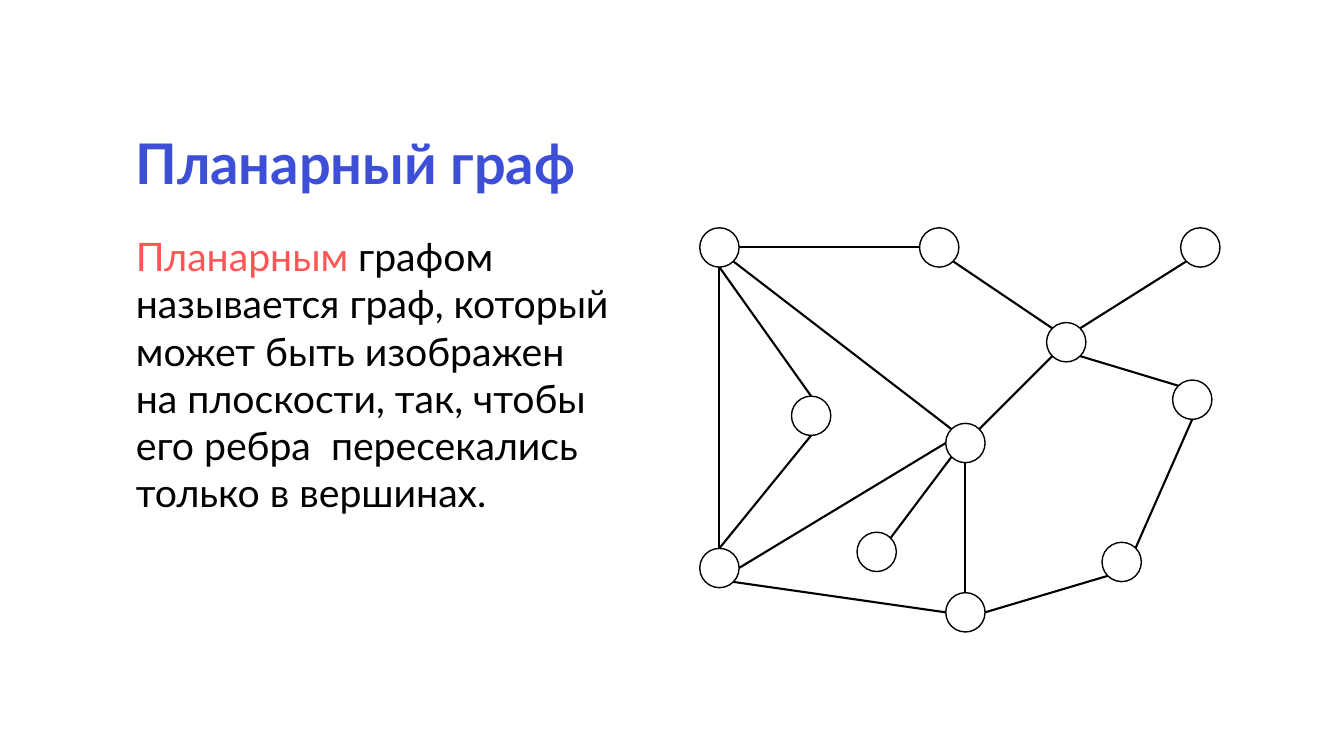
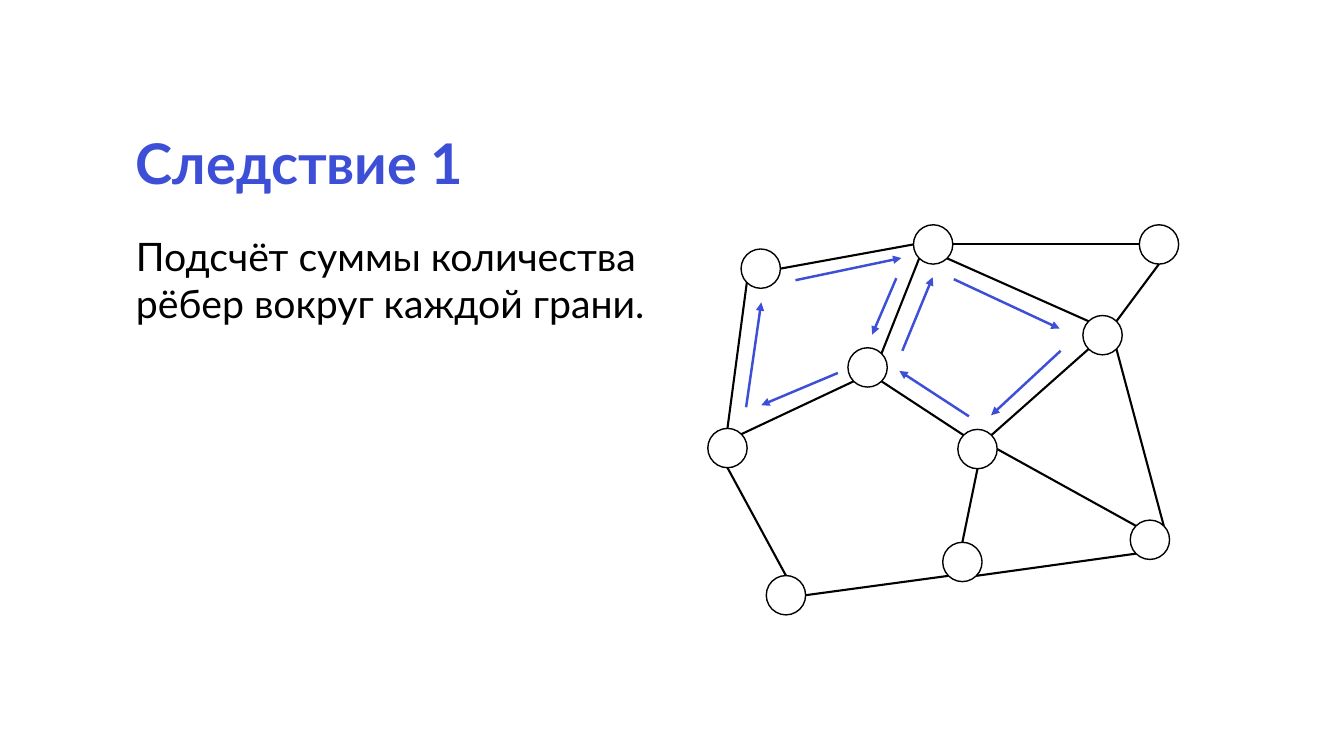
from dataclasses import dataclass
from math import cos, radians, sin

from lxml.etree import SubElement
from pptx import Presentation
from pptx.dml.color import RGBColor as RGB
from pptx.enum.shapes import MSO_CONNECTOR as LINE, MSO_SHAPE as SHAPE
from pptx.enum.text import MSO_ANCHOR as ANCHOR
from pptx.oxml.ns import qn
from pptx.util import Inches, Pt


@dataclass(frozen=True)
class Theme:
    font: str = "Lato"
    blue: RGB = RGB(0x3D, 0x4E, 0xD7)
    red: RGB = RGB(0xFF, 0x55, 0x55)
    black: RGB = RGB(0, 0, 0)
    white: RGB = RGB(255, 255, 255)
    title: int = 40
    body: int = 28
    rim: float = 1
    edge: float = 1.5
    arrow: float = 1.75


THEME = Theme()
LEFT, WIDTH = 1.25, 5.42
NODE = 0.39
# Connection sites of an ellipse, counterclockwise from the top.
SITES = ("N", "NW", "W", "SW", "S", "SE", "E", "NE")

PLANAR_NODES = {
    "a": (6.94, 2.26), "b": (9.12, 2.26), "c": (11.71, 2.26),
    "d": (10.38, 3.2), "e": (11.63, 3.77), "f": (7.85, 3.93),
    "g": (9.38, 4.2), "h": (8.5, 5.28), "i": (6.94, 5.44),
    "j": (9.38, 5.88), "k": (10.93, 5.38),
}
PLANAR_EDGES = (
    "a E b W", "a S f N", "a SE g NW", "i N a S", "d SW g NE",
    "c SW d NE", "e NW d SE", "b SE d NW", "f S i N", "e S k NE",
    "i SE j W", "h NE g SW", "g W i E", "j N g S", "k SW j E",
)
FACE_NODES = {
    "a": (7.35, 2.47), "b": (9.06, 2.23), "c": (11.3, 2.23),
    "d": (10.74, 3.13), "e": (8.41, 3.45), "f": (7.02, 4.25),
    "g": (9.5, 4.26), "h": (9.35, 5.38), "i": (11.21, 5.16),
    "j": (7.6, 5.71),
}
FACE_EDGES = (
    "a E b W", "b SW e NE", "i NE d SE", "h SW j E", "c W b E",
    "g NE d SW", "b SE d NW", "f S j N", "c S d NE", "e SW f NE",
    "g NW e SE", "i NW g E", "i SW h SE", "h N g S", "f N a SW",
)
FACE_ARROWS = (
    ((7.4, 4.04), (7.55, 3)), ((7.89, 2.78), (8.94, 2.56)),
    ((8.89, 2.76), (8.65, 3.32)), ((8.31, 3.7), (7.55, 4.02)),
    ((9.46, 2.77), (10.51, 3.26)), ((10.52, 3.48), (9.83, 4.12)),
    ((8.95, 3.48), (9.25, 2.75)), ((9.61, 4.13), (8.92, 3.68)),
)


def add_text(slide, text, top, height, size, color, bold=False):
    box = slide.shapes.add_textbox(
        Inches(LEFT), Inches(top), Inches(WIDTH), Inches(height))
    frame = box.text_frame
    frame.word_wrap = True
    frame.text = text
    for par in frame.paragraphs:
        for run in par.runs:
            style(run, size, color, bold)
    return frame


def style(run, size, color, bold=False):
    font = run.font
    font.name, font.size, font.bold = THEME.font, Pt(size), bold
    font.color.rgb = color


def add_title(slide, text):
    frame = add_text(slide, text, 1.25, 0.8, THEME.title, THEME.blue, True)
    frame.vertical_anchor = ANCHOR.MIDDLE
    frame.paragraphs[0].line_spacing = 0.9


def add_body(slide, text, height, term=""):
    """Add the body text; a term that opens it is set in red."""
    frame = add_text(slide, text, 2.26, height, THEME.body, THEME.black)
    if term:
        par = frame.paragraphs[0]
        head, tail = par.runs[0], par.add_run()
        tail.text = head.text.removeprefix(term)
        head.text = term
        style(head, THEME.body, THEME.red)
        style(tail, THEME.body, THEME.black)


def add_node(slide, left, top):
    node = slide.shapes.add_shape(
        SHAPE.OVAL, Inches(left), Inches(top), Inches(NODE), Inches(NODE))
    node.shadow.inherit = False
    node.fill.solid()
    node.fill.fore_color.rgb = THEME.white
    node.line.color.rgb = THEME.black
    node.line.width = Pt(THEME.rim)
    return node


def add_line(slide, start, end, color, width):
    ends = [Inches(value) for value in (*start, *end)]
    line = slide.shapes.add_connector(LINE.STRAIGHT, *ends)
    line.line.color.rgb = color
    line.line.width = Pt(width)
    SubElement(line._element.spPr, qn("a:effectLst"))
    return line


def add_arrow(slide, start, end):
    line = add_line(slide, start, end, THEME.blue, THEME.arrow)
    SubElement(line.line._get_or_add_ln(), qn("a:tailEnd"), type="triangle")


def find_site(corner, site):
    """Return the point of a node's rim that faces the compass site."""
    angle = radians(90 + 45 * SITES.index(site))
    half = NODE / 2
    left, top = corner
    return left + half + half * cos(angle), top + half - half * sin(angle)


def add_graph(slide, nodes, edges):
    """Draw nodes and glue each edge, given as 'node site node site'."""
    ovals = {key: add_node(slide, *corner) for key, corner in nodes.items()}
    for edge in edges:
        key, site, goal, port = edge.split()
        line = add_line(slide, find_site(nodes[key], site),
                        find_site(nodes[goal], port),
                        THEME.black, THEME.edge)
        glue = line._element.nvCxnSpPr.cNvCxnSpPr
        for tag, name, spot in (("a:stCxn", key, site),
                                ("a:endCxn", goal, port)):
            SubElement(glue, qn(tag), id=str(ovals[name].shape_id),
                       idx=str(SITES.index(spot)))


def add_slide(deck, title):
    slide = deck.slides.add_slide(deck.slide_layouts[6])
    add_title(slide, title)
    return slide


def main():
    deck = Presentation()
    deck.slide_width, deck.slide_height = Inches(13.33), Inches(7.5)

    planar = add_slide(deck, "Планарный граф")
    add_body(planar,
             "Планарным графом называется граф, который может быть изображен\n"
             "на плоскости, так, чтобы\v"
             "его ребра  пересекались только в вершинах.",
             2.93, term="Планарным")
    add_graph(planar, PLANAR_NODES, PLANAR_EDGES)

    faces = add_slide(deck, "Следствие 1")
    add_body(faces, "Подсчёт суммы количества рёбер вокруг каждой грани.", 1.04)
    add_graph(faces, FACE_NODES, FACE_EDGES)
    for start, end in FACE_ARROWS:
        add_arrow(faces, start, end)

    deck.save("out.pptx")


if __name__ == "__main__":
    main()
